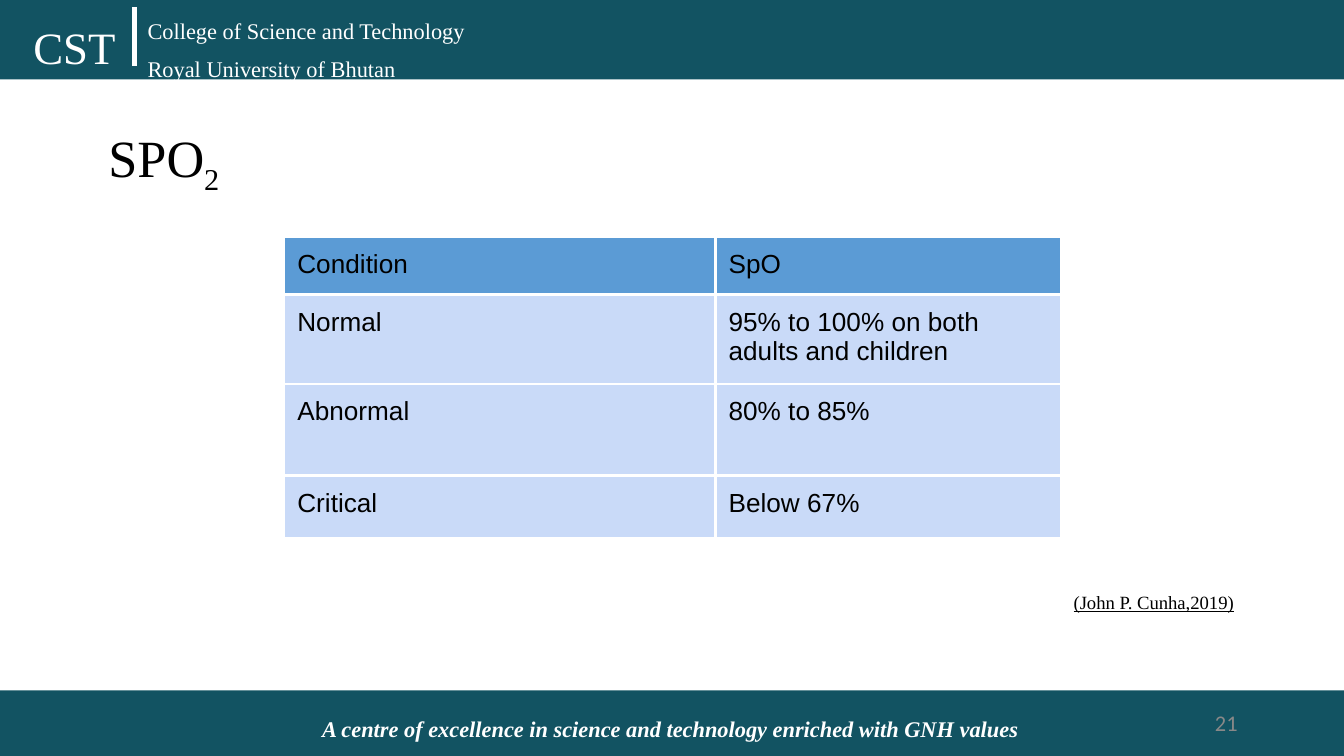
import dataclasses

import lxml.etree
import pptx
import pptx.dml.color
import pptx.enum.shapes
import pptx.enum.text
import pptx.oxml.ns
import pptx.util

Cm = pptx.util.Cm
Pt = pptx.util.Pt
qn = pptx.oxml.ns.qn
ALIGN = pptx.enum.text.PP_ALIGN
ANCHOR = pptx.enum.text.MSO_ANCHOR


@dataclasses.dataclass(frozen=True)
class Theme:
    band: str = "125362"
    white: str = "FFFFFF"
    black: str = "000000"
    grey: str = "888888"
    head: str = "5B9BD5"
    body: str = "C9DAF8"
    serif: str = "Times New Roman"
    sans: str = "Arial"
    plain: str = "Calibri"
    title: int = 28
    mark: int = 24
    cell: int = 14
    small: int = 12
    cite: int = 10


THEME = Theme()
WIDE, HIGH = 25.4, 14.29


def rgb(code):
    return pptx.dml.color.RGBColor.from_string(code)


def write(frame, text, size=THEME.small, font=THEME.serif, color=THEME.black,
          bold=False, italic=False, under=False, align=ALIGN.LEFT,
          anchor=ANCHOR.TOP, pad=0.13, gap=0, sub=""):
    """Fill a text frame, one paragraph per line; sub is a closing subscript."""
    frame.word_wrap = True
    frame.vertical_anchor = anchor
    frame.margin_left = frame.margin_right = Cm(0.25)
    frame.margin_top = frame.margin_bottom = Cm(pad)
    for i, line in enumerate(text.split("\n")):
        para = frame.add_paragraph() if i else frame.paragraphs[0]
        para.alignment = align
        para.space_before = Pt(gap if i else 0)
        for part in filter(None, (line, sub)):
            run = para.add_run()
            run.text = part
            run.font.name, run.font.size = font, Pt(size)
            run.font.color.rgb = rgb(color)
            run.font.bold, run.font.italic = bold, italic
            run.font.underline = under
    if sub:
        run.font._element.set("baseline", "-25000")


def label(slide, box, text, **style):
    shape = slide.shapes.add_textbox(*map(Cm, box))
    write(shape.text_frame, text, **style)


def band(slide, box):
    kind = pptx.enum.shapes.MSO_SHAPE.RECTANGLE
    shape = slide.shapes.add_shape(kind, *map(Cm, box))
    shape.shadow.inherit = False
    shape.fill.solid()
    shape.fill.fore_color.rgb = rgb(THEME.band)
    shape.line.fill.background()


def header(slide, box):
    left, top, wide, high = box
    band(slide, box)
    label(slide, (left + 0.38, top + 0.25, 2.08, 1.27), "CST",
          size=THEME.mark, color=THEME.white)
    split = left + 2.54
    kind = pptx.enum.shapes.MSO_CONNECTOR.STRAIGHT
    rule = slide.shapes.add_connector(
        kind, Cm(split), Cm(top + 0.13), Cm(split), Cm(top + 1.24))
    rule.line.color.rgb = rgb(THEME.white)
    rule.line.width = Pt(3)
    lxml.etree.SubElement(rule._element.spPr, qn("a:effectLst"))
    label(slide, (split, top + 0.2, 6.6, high),
          "College of Science and Technology\nRoyal University of Bhutan",
          color=THEME.white, gap=6)


def footer(slide, box, page):
    left, top, wide, high = box
    band(slide, box)
    label(slide, (left + 5.84, top + 0.33, 13.84, 0.76),
          "A centre of excellence in science and technology "
          "enriched with GNH values",
          color=THEME.white, bold=True, italic=True)
    label(slide, (left + 20.57, top + 0.23, 3.07, 0.76), page,
          font=THEME.plain, color=THEME.grey, align=ALIGN.RIGHT,
          anchor=ANCHOR.MIDDLE)


def edge(cell):
    """Give a cell white borders, placed ahead of its fill."""
    props = cell._tc.get_or_add_tcPr()
    for i, side in enumerate(("a:lnL", "a:lnR", "a:lnT", "a:lnB")):
        line = lxml.etree.Element(qn(side), w=str(Pt(1.5)))
        fill = lxml.etree.SubElement(line, qn("a:solidFill"))
        lxml.etree.SubElement(fill, qn("a:srgbClr"), val=THEME.white)
        props.insert(i, line)


def grid(slide, box, rows, cols, highs):
    table = slide.shapes.add_table(
        len(rows), len(cols), *map(Cm, box)).table
    for col, wide in zip(table.columns, cols):
        col.width = Cm(wide)
    for r, (texts, high) in enumerate(zip(rows, highs)):
        table.rows[r].height = Cm(high)
        for c, text in enumerate(texts):
            cell = table.cell(r, c)
            write(cell.text_frame, text, size=THEME.cell, font=THEME.sans)
            cell.margin_left = cell.margin_right = Cm(0.25)
            cell.margin_top = cell.margin_bottom = Cm(0.25)
            cell.fill.solid()
            cell.fill.fore_color.rgb = rgb(THEME.body if r else THEME.head)
            edge(cell)


def content(slide, box):
    left, top, wide, high = box
    label(slide, (left + 1.8, top + 0.61, 19.28, 1.42), "SPO", sub="2",
          size=THEME.title, pad=0.25)
    label(slide, (left + 20.04, top + 9.45, 9.19, 1.65),
          "(John P. Cunha,2019)", size=THEME.cite, under=True, pad=0.25)
    rows = [
        ("Condition", "SpO"),
        ("Normal", "95% to 100% on both adults and children"),
        ("Abnormal", "80% to 85%"),
        ("Critical", "Below 67%"),
    ]
    grid(slide, (left + 5.37, top + 2.97, 14.68, 5.72), rows,
         cols=(8.15, 6.53), highs=(1.08, 1.69, 1.73, 1.18))


def main():
    deck = pptx.Presentation()
    deck.slide_width, deck.slide_height = Cm(WIDE), Cm(HIGH)
    slide = deck.slides.add_slide(deck.slide_layouts[6])
    head, foot = 1.5, 1.24
    footer(slide, (0, HIGH - foot, WIDE, foot), "21")
    header(slide, (0, 0, WIDE, head))
    content(slide, (0, head, WIDE, HIGH - head - foot))
    deck.save("out.pptx")


if __name__ == "__main__":
    main()
